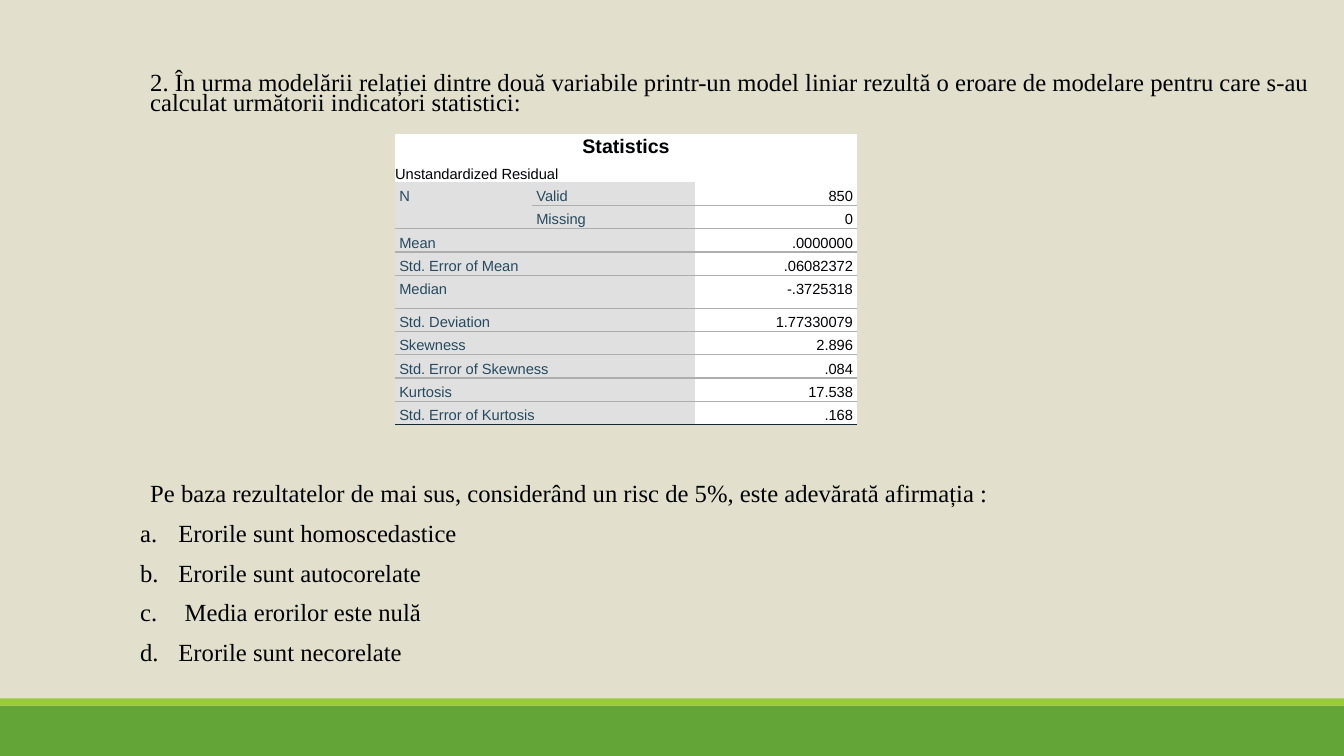
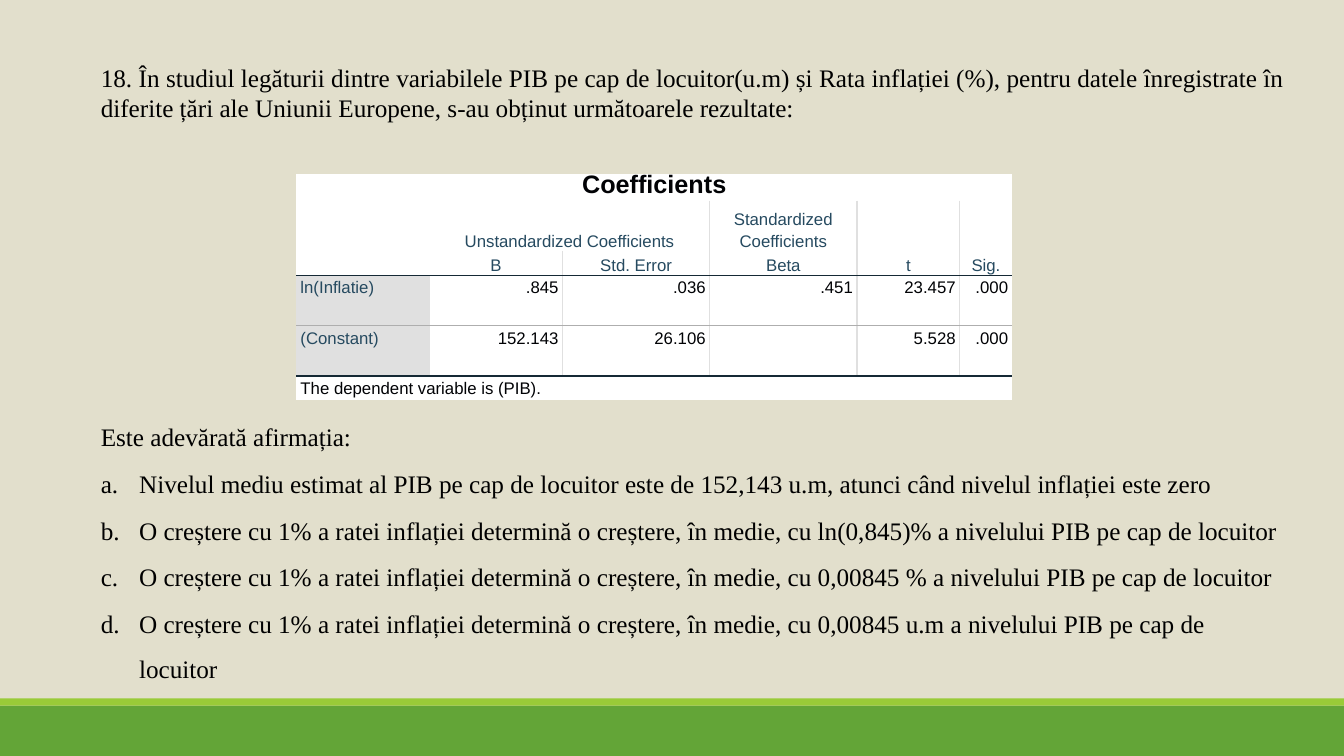
from lxml import etree
from pptx import Presentation, util as u
from pptx.dml.color import RGBColor
from pptx.enum import shapes, text
from pptx.oxml import ns

PX = 9144
WIDE, HIGH = 1333, 750
SAND = RGBColor(0xE2, 0xDF, 0xCC)
GREEN = RGBColor(0x63, 0xA5, 0x37)
LIME = RGBColor(0x99, 0xCB, 0x38)
BLACK = RGBColor(0, 0, 0)
WHITE = RGBColor(0xFF, 0xFF, 0xFF)
INK = RGBColor(0x01, 0x02, 0x05)
BLUE = RGBColor(0x26, 0x4A, 0x60)
PALE = RGBColor(0xE0, 0xE0, 0xE0)
GRAY = RGBColor(0xAE, 0xAE, 0xAE)
NAVY = RGBColor(0x15, 0x29, 0x35)
SERIF, SANS = "Times New Roman", "Arial"
ALIGN, ANCHOR = text.PP_ALIGN, text.MSO_ANCHOR


def px(size):
    """Turn px into EMU."""
    return u.Emu(size * PX)


def say(par, words, size=18, font=SERIF, color=BLACK, bold=False,
        align=ALIGN.LEFT, lead=1.0, after=0, left=0, letter=False):
    """Fill one paragraph with formatted text."""
    par.alignment, par.line_spacing = align, lead
    par.space_before, par.space_after = u.Pt(0), u.Pt(after)
    props = par._p.get_or_add_pPr()
    props.set("marL", str(px(left)))
    props.set("indent", str(px(-left if letter else 0)))
    if letter:
        mark = etree.SubElement(props, ns.qn("a:buAutoNum"))
        mark.set("type", "alphaLcPeriod")
    if words:
        run = par.add_run()
        run.text = words
        run.font.name, run.font.size = font, u.Pt(size)
        run.font.bold, run.font.color.rgb = bold, color


def base(deck):
    """Add a slide with its two footer bands."""
    slide = deck.slides.add_slide(deck.slide_layouts[6])
    for top, tall, color in ((700, 50, GREEN), (693, 7, LIME)):
        band = slide.shapes.add_shape(
            shapes.MSO_SHAPE.RECTANGLE, 0, px(top), px(WIDE), px(tall))
        band.shadow.inherit = False
        band.fill.solid()
        band.fill.fore_color.rgb = color
        band.line.fill.background()
    return slide


def block(slide, box, items):
    """Place a text block of (words, format) items in a box."""
    frame = slide.shapes.add_textbox(*map(px, box)).text_frame
    frame.word_wrap = True
    frame.margin_left = frame.margin_right = 0
    frame.margin_top = frame.margin_bottom = 0
    for i, (words, form) in enumerate(items):
        par = frame.add_paragraph() if i else frame.paragraphs[0]
        say(par, words, **form)


def quiz(slide, box, ask, picks, lead, size, left=0):
    """Place a question and its lettered answers in a box."""
    form = dict(size=size, lead=lead, after=1, left=38, letter=True)
    first = (ask, dict(size=size, after=1, left=left))
    block(slide, box, [first] + [(pick, form) for pick in picks])


def rule(cell, side, color):
    """Draw or clear one border of a cell."""
    line = etree.SubElement(cell._tc.get_or_add_tcPr(), ns.qn("a:ln" + side))
    line.set("w", str(u.Pt(1)))
    if color is None:
        etree.SubElement(line, ns.qn("a:noFill"))
        return
    fill = etree.SubElement(line, ns.qn("a:solidFill"))
    etree.SubElement(fill, ns.qn("a:srgbClr")).set("val", str(color))


def grid(slide, spot, cols, rows, data, spans, look, edge):
    """Place a table whose cells follow the look and edge rules."""
    size = (sum(cols), sum(rows))
    table = slide.shapes.add_table(
        len(rows), len(cols), *map(px, spot + size)).table
    table.first_row = table.horz_banding = False
    for col, wide in zip(table.columns, cols):
        col.width = px(wide)
    for row, tall in zip(table.rows, rows):
        row.height = px(tall)
    for r, line in enumerate(data):
        for c, words in enumerate(line):
            cell = table.cell(r, c)
            right, low = edge(r, c)
            sides = (("L", edge(r, c - 1)[0]), ("R", right),
                     ("T", edge(r - 1, c)[1]), ("B", low))
            for side, color in sides:
                rule(cell, side, color)
            fill, anchor, pad, form = look(r, c)
            cell.fill.solid()
            cell.fill.fore_color.rgb = fill
            cell.vertical_anchor = anchor
            cell.margin_left = cell.margin_right = px(pad)
            cell.margin_top = cell.margin_bottom = 0
            say(cell.text_frame.paragraphs[0], words,
                font=SANS, lead=u.Pt(16), **form)
    for r, c, down, over in spans:
        table.cell(r, c).merge(table.cell(r + down - 1, c + over - 1))


def stat_look(r, c):
    """Give fill, anchor, padding and text format in the statistics table."""
    if r == 0:
        return WHITE, ANCHOR.MIDDLE, 4, dict(
            size=14, color=INK, bold=True, align=ALIGN.CENTER)
    if r == 1:
        return WHITE, ANCHOR.BOTTOM, 0, dict(size=10.5, color=INK)
    if c < 2:
        return PALE, ANCHOR.TOP, 4, dict(size=10.5, color=BLUE)
    return WHITE, ANCHOR.TOP, 4, dict(
        size=10.5, color=INK, align=ALIGN.RIGHT)


def stat_edge(r, c):
    """Give right and bottom border colours in the statistics table."""
    if r < 2 or (r, c) == (2, 0):
        return None, None
    return None, NAVY if r == 11 else GRAY


def coef_look(r, c):
    """Give fill, anchor, padding and text format in the coefficients table."""
    if r == 0:
        return WHITE, ANCHOR.MIDDLE, 4, dict(
            size=18, color=INK, bold=True, align=ALIGN.CENTER)
    if r < 3:
        return WHITE, ANCHOR.BOTTOM, 4, dict(
            size=12, color=BLUE, align=ALIGN.CENTER)
    if r == 5:
        return WHITE, ANCHOR.TOP, 4, dict(size=12, color=INK)
    if c == 0:
        return PALE, ANCHOR.TOP, 4, dict(size=12, color=BLUE)
    return WHITE, ANCHOR.TOP, 4, dict(size=12, color=INK, align=ALIGN.RIGHT)


def coef_edge(r, c):
    """Give right and bottom border colours in the coefficients table."""
    split = 1 <= r <= 4 and 2 <= c <= 4 or 2 <= r <= 4 and c == 1
    return PALE if split else None, {2: NAVY, 3: GRAY, 4: NAVY}.get(r)


def errors(deck):
    """Build the slide on the modelling error."""
    slide = base(deck)
    block(slide, (149, 74, 1184, 50), [(
        "2. În urma modelării relației dintre două variabile printr-un model "
        "liniar rezultă o eroare de modelare pentru care s-au calculat "
        "următorii indicatori statistici:", dict(size=17.6, lead=0.7))])
    quiz(slide, (139, 474, 1194, 210),
         "Pe baza rezultatelor de mai sus, considerând un risc de 5%, "
         "este adevărată afirmația :",
         ("Erorile sunt homoscedastice", "Erorile sunt autocorelate",
          " Media erorilor este nulă", "Erorile sunt necorelate"),
         lead=1.3, size=17.6, left=10)
    pairs = (("Mean", ".0000000"), ("Std. Error of Mean", ".06082372"),
             ("Median", "-.3725318"), ("Std. Deviation", "1.77330079"),
             ("Skewness", "2.896"), ("Std. Error of Skewness", ".084"),
             ("Kurtosis", "17.538"), ("Std. Error of Kurtosis", ".168"))
    data = [("Statistics", "", ""), ("Unstandardized Residual", "", ""),
            ("N", "Valid", "850"), ("", "Missing", "0")]
    data += [(name, "", value) for name, value in pairs]
    spans = [(0, 0, 1, 3), (1, 0, 1, 3), (2, 0, 2, 1)]
    spans += [(r, 0, 1, 2) for r in range(4, 12)]
    grid(slide, (392, 133), (136, 161, 161), [25] + [23] * 5 + [33] + [23] * 5,
         data, spans, stat_look, stat_edge)


def growth(deck):
    """Build the slide on GDP and inflation."""
    slide = base(deck)
    block(slide, (100, 62, 1174, 65), [(
        "18. În studiul legăturii dintre variabilele PIB pe cap de "
        "locuitor(u.m) și Rata inflației (%), pentru datele înregistrate în "
        "diferite țări ale Uniunii Europene, s-au obținut următoarele "
        "rezultate:", dict(align=ALIGN.JUSTIFY))])
    rise = ("O creștere cu 1% a ratei inflației determină o creștere, în "
            "medie, cu {} a nivelului PIB pe cap de locuitor")
    picks = ["Nivelul mediu estimat al PIB pe cap de locuitor este de 152,143 "
             "u.m, atunci când nivelul inflației este zero"]
    picks += [rise.format(step)
              for step in ("ln(0,845)%", "0,00845 %", "0,00845 u.m")]
    quiz(slide, (100, 418, 1174, 265), "Este adevărată afirmația:", picks,
         lead=1.5, size=18)
    data = (("Coefficients", "", "", "", "", ""),
            ("", "Unstandardized Coefficients", "",
             "Standardized Coefficients", "t", "Sig."),
            ("", "B", "Std. Error", "Beta", "", ""),
            ("ln(Inflatie)", ".845", ".036", ".451", "23.457", ".000"),
            ("(Constant)", "152.143", "26.106", "", "5.528", ".000"),
            ("The dependent variable is (PIB).", "", "", "", "", ""))
    spans = ((0, 0, 1, 6), (1, 0, 2, 1), (1, 1, 1, 2),
             (1, 4, 2, 1), (1, 5, 2, 1), (5, 0, 1, 6))
    grid(slide, (294, 173), (132, 132, 146, 146, 102, 52),
         (26, 50, 24, 50, 50, 24), data, spans, coef_look, coef_edge)


def main():
    """Build and save the deck."""
    deck = Presentation()
    deck.slide_width, deck.slide_height = px(WIDE), px(HIGH)
    back = deck.slide_master.background.fill
    back.solid()
    back.fore_color.rgb = SAND
    errors(deck)
    growth(deck)
    deck.save("out.pptx")


if __name__ == "__main__":
    main()
